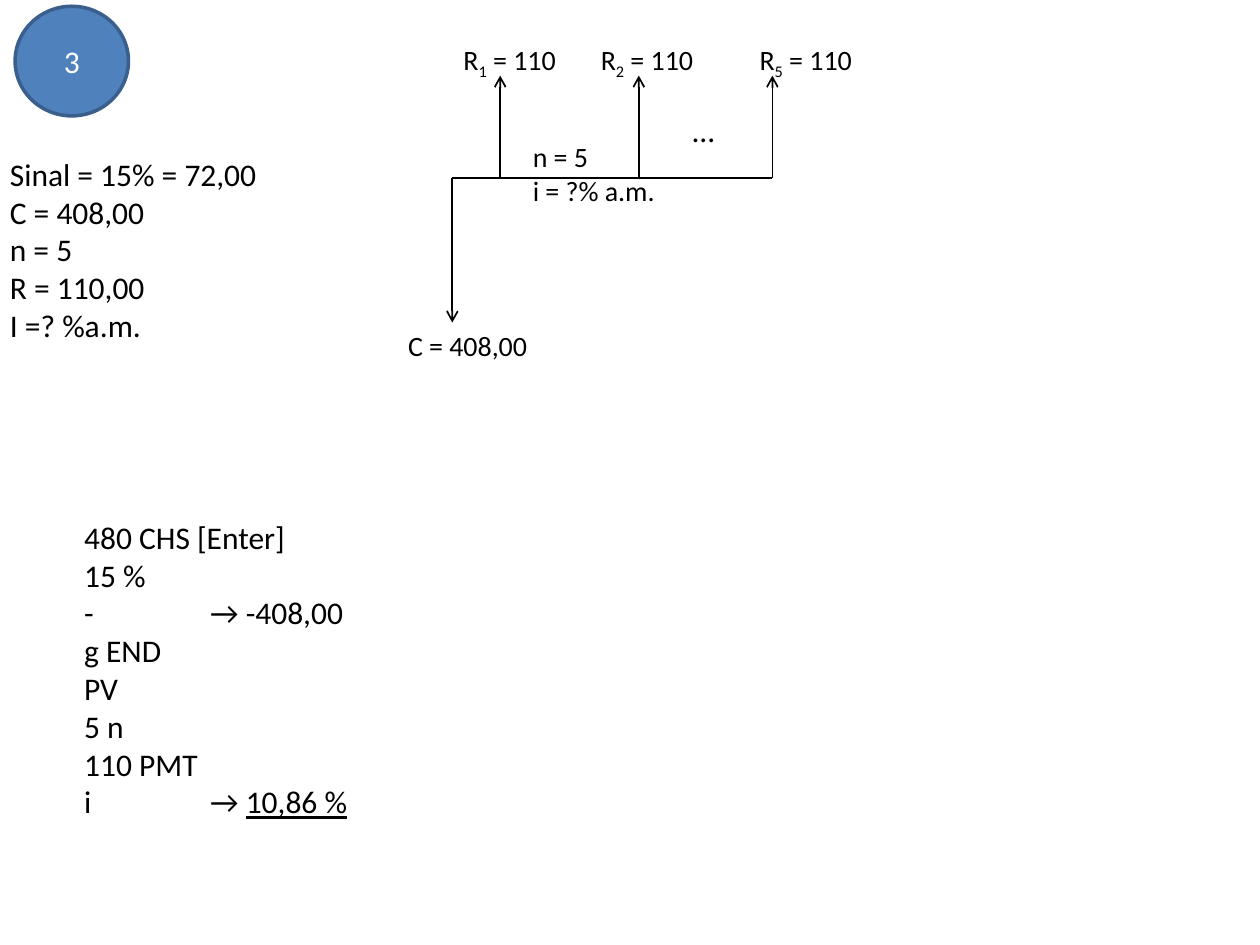
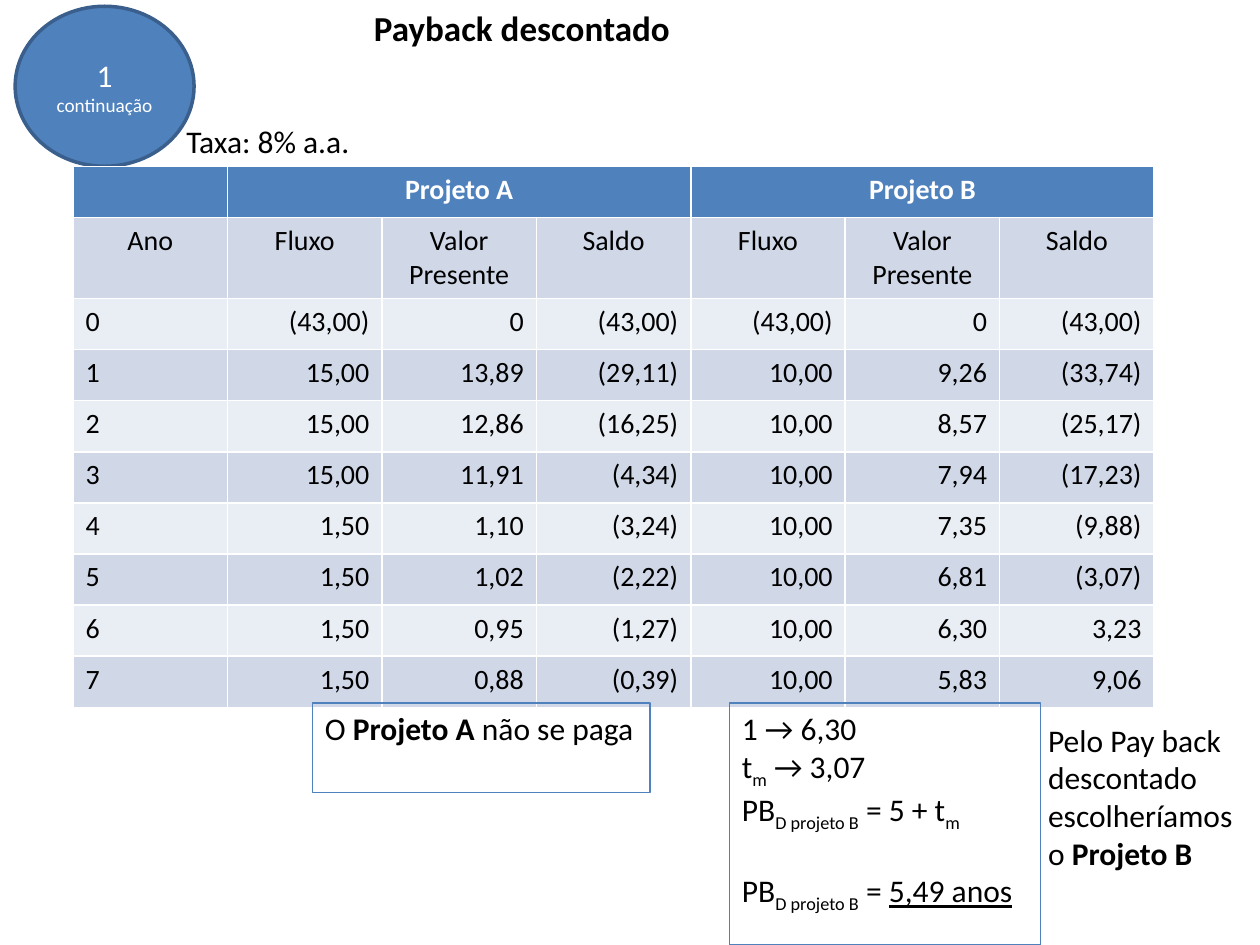
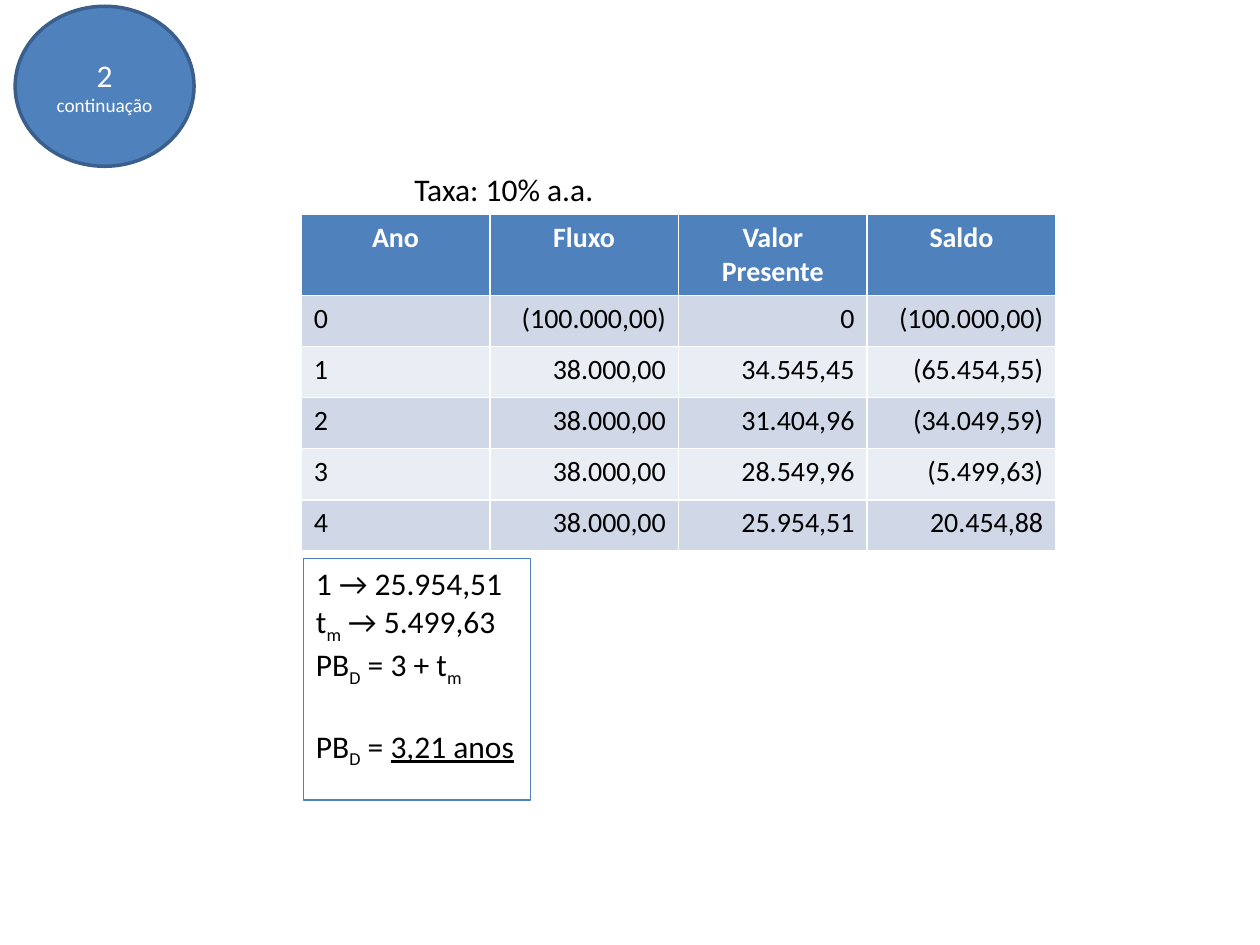
import pptx
import pptx.dml.color
import pptx.enum.shapes
import pptx.enum.text
import pptx.oxml.ns
import pptx.util
from lxml import etree

Inches = pptx.util.Inches
Pt = pptx.util.Pt
RGBColor = pptx.dml.color.RGBColor
ALIGN = pptx.enum.text.PP_ALIGN
SHAPE = pptx.enum.shapes.MSO_SHAPE

BLUE = RGBColor(0x4F, 0x81, 0xBD)
DARK_BLUE = RGBColor(0x3A, 0x5F, 0x8C)
LIGHT_BAND = RGBColor(0xE9, 0xED, 0xF4)
DARK_BAND = RGBColor(0xD0, 0xD8, 0xE8)
BLACK = RGBColor(0, 0, 0)
WHITE = RGBColor(0xFF, 0xFF, 0xFF)
FONT = "Calibri"

KNOWN_VALUES = ["Sinal = 15% = 72,00", "C = 408,00", "n = 5", "R = 110,00", "I =? %a.m."]
CALCULATOR_KEYS = [
    "480 CHS [Enter]", "15 %", "-\t\t→ -408,00", "g END", "PV", "5 n", "110 PMT",
    ["i\t\t→ ", ("10,86 %", "underline")],
]
AXIS_LEFT, AXIS_RIGHT, AXIS_TOP = 3.59, 6.13, 1.41
RECEIPT_TOP, CAPITAL_BOTTOM = 0.6, 2.56
RECEIPTS = [("1", 3.97, 3.58), ("2", 5.07, 4.67), ("5", 6.13, 5.93)]

COLUMNS = ["Fluxo", "Valor Presente", "Saldo"]
PROJECTS_TABLE = [
    ["", "Projeto A", "", "", "Projeto B", "", ""],
    ["Ano"] + COLUMNS * 2,
    ["0", "(43,00)", "0", "(43,00)", "(43,00)", "0", "(43,00)"],
    ["1", "15,00", "13,89", "(29,11)", "10,00", "9,26", "(33,74)"],
    ["2", "15,00", "12,86", "(16,25)", "10,00", "8,57", "(25,17)"],
    ["3", "15,00", "11,91", "(4,34)", "10,00", "7,94", "(17,23)"],
    ["4", "1,50", "1,10", "(3,24)", "10,00", "7,35", "(9,88)"],
    ["5", "1,50", "1,02", "(2,22)", "10,00", "6,81", "(3,07)"],
    ["6", "1,50", "0,95", "(1,27)", "10,00", "6,30", "3,23"],
    ["7", "1,50", "0,88", "(0,39)", "10,00", "5,83", "9,06"],
]
SINGLE_TABLE = [
    ["Ano"] + COLUMNS,
    ["0", "(100.000,00)", "0", "(100.000,00)"],
    ["1", "38.000,00", "34.545,45", "(65.454,55)"],
    ["2", "38.000,00", "31.404,96", "(34.049,59)"],
    ["3", "38.000,00", "28.549,96", "(5.499,63)"],
    ["4", "38.000,00", "25.954,51", "20.454,88"],
]
PROJECT_A_VERDICT = [["O ", ("Projeto A ", "bold"), "não se paga"]]
CHOICE = [["Pelo Pay back descontado escolheríamos o ", ("Projeto B", "bold")]]
TALL_ROW = 0.63


def write(paragraph, content, size=18, color=BLACK, bold=False, align=ALIGN.LEFT):
    paragraph.alignment = align
    font = paragraph.font
    font.name, font.size, font.bold = FONT, Pt(size), bold
    font.color.rgb = color
    for part in [content] if isinstance(content, str) else content:
        text, style = (part, None) if isinstance(part, str) else part
        run = paragraph.add_run()
        run.text = text
        if style == "bold":
            run.font.bold = True
        elif style == "underline":
            run.font.underline = True
        elif style == "sub":
            run.font._element.set("baseline", "-25000")


def write_lines(frame, lines, **style):
    for index, line in enumerate(lines):
        paragraph = frame.add_paragraph() if index else frame.paragraphs[0]
        write(paragraph, line, **style)


def add_text(slide, box, lines, wrap=False, **style):
    frame = slide.shapes.add_textbox(*map(Inches, box)).text_frame
    frame.word_wrap = wrap
    write_lines(frame, lines, **style)


def add_plain_shape(slide, kind, box, line_color, line_width):
    shape = slide.shapes.add_shape(kind, *map(Inches, box))
    shape.shadow.inherit = False
    shape.line.color.rgb = line_color
    shape.line.width = Pt(line_width)
    return shape


def add_badge(slide, number, width, height, note=None):
    badge = add_plain_shape(slide, SHAPE.OVAL, (0.12, 0.05, width, height), DARK_BLUE, 2)
    badge.fill.solid()
    badge.fill.fore_color.rgb = BLUE
    frame = badge.text_frame
    write(frame.paragraphs[0], number, color=WHITE, align=ALIGN.CENTER)
    if note:
        write(frame.add_paragraph(), note, size=11, color=WHITE, align=ALIGN.CENTER)


def add_frame(slide, box, lines):
    outline = add_plain_shape(slide, SHAPE.RECTANGLE, box, BLUE, 0.75)
    outline.fill.background()
    frame = outline.text_frame
    frame.word_wrap = False
    frame.vertical_anchor = pptx.enum.text.MSO_ANCHOR.TOP
    write_lines(frame, lines)
    return frame


def add_payback(slide, box, whole, remainder, project, years, result):
    label = ["PB", ("D" + project, "sub")]
    minor = ["t", ("m", "sub")]
    frame = add_frame(slide, box, [
        "1 → " + whole,
        minor + [" → " + remainder],
        label + [f" = {years} + "] + minor,
        label + [" = ", (result, "underline")],
    ])
    frame.paragraphs[-1].space_before = Pt(22)


def add_line(slide, start, end, arrow=True):
    line = slide.shapes.add_connector(
        pptx.enum.shapes.MSO_CONNECTOR.STRAIGHT, *map(Inches, start + end))
    line.line.color.rgb = BLACK
    line.line.width = Pt(1)
    if arrow:
        etree.SubElement(line.line._get_or_add_ln(), pptx.oxml.ns.qn("a:tailEnd"), type="arrow")
    etree.SubElement(line._element.spPr, pptx.oxml.ns.qn("a:effectLst"))


def add_cash_table(slide, box, rows, heading_rows):
    height = box[3]
    row_height = (height - TALL_ROW) / (len(rows) - 1)
    table = slide.shapes.add_table(len(rows), len(rows[0]), *map(Inches, box)).table
    for r, values in enumerate(rows):
        table.rows[r].height = Inches(TALL_ROW if r == heading_rows - 1 else row_height)
        for c, value in enumerate(values):
            cell = table.cell(r, c)
            cell.fill.solid()
            cell.fill.fore_color.rgb = BLUE if r == 0 else DARK_BAND if r % 2 else LIGHT_BAND
            align = ALIGN.CENTER if r < heading_rows else ALIGN.RIGHT if c else ALIGN.LEFT
            write(cell.text_frame.paragraphs[0], value or [], size=16,
                  color=BLACK if r else WHITE, bold=r == 0, align=align)
    return table


def build_rate_slide(slide):
    add_badge(slide, "3", 0.9, 0.87)
    add_line(slide, (AXIS_LEFT, AXIS_TOP), (AXIS_LEFT, CAPITAL_BOTTOM))
    add_line(slide, (AXIS_LEFT, AXIS_TOP), (AXIS_RIGHT, AXIS_TOP), arrow=False)
    for index, arrow_left, label_left in RECEIPTS:
        add_line(slide, (arrow_left, AXIS_TOP), (arrow_left, RECEIPT_TOP))
        add_text(slide, (label_left, 0.29, 0.96, 0.37),
                 [["R", (index, "sub"), " = 110"]], size=16)
    add_text(slide, (3.14, CAPITAL_BOTTOM, 1.16, 0.37), ["C = 408,00"], size=16)
    add_text(slide, (4.13, 1.06, 1.18, 0.64), ["n = 5", "i = ?% a.m."], size=16)
    add_text(slide, (5.39, 0.83, 0.39, 0.4), ["..."])
    add_text(slide, (-0.02, 1.18, 2.18, 1.62), KNOWN_VALUES)
    add_text(slide, (0.57, 4.06, 3.34, 2.52), CALCULATOR_KEYS)


def build_projects_slide(slide):
    add_badge(slide, "1", 1.42, 1.27, "continuação")
    table = add_cash_table(slide, (0.58, 1.32, 8.58, 4.28), PROJECTS_TABLE, 2)
    for first in (1, 4):
        table.cell(0, first).merge(table.cell(0, first + 2))
    add_text(slide, (2.87, 0, 2.57, 0.44), ["Payback descontado"], size=20, bold=True)
    add_text(slide, (1.38, 0.92, 1.51, 0.4), ["Taxa: 8% a.a."])
    add_frame(slide, (2.48, 5.58, 2.68, 0.71), PROJECT_A_VERDICT)
    add_payback(slide, (5.79, 5.58, 2.47, 1.92), "6,30", "3,07", " projeto B", 5, "5,49 anos")
    add_text(slide, (8.22, 5.67, 1.7, 1.31), CHOICE, wrap=True)


def build_single_slide(slide):
    add_cash_table(slide, (2.39, 1.7, 5.99, 2.66), SINGLE_TABLE, 1)
    add_text(slide, (3.19, 1.3, 1.64, 0.4), ["Taxa: 10% a.a."])
    add_payback(slide, (2.41, 4.43, 1.8, 1.92), "25.954,51", "5.499,63", "", 3, "3,21 anos")
    add_badge(slide, "2", 1.42, 1.27, "continuação")


def main():
    deck = pptx.Presentation()
    deck.slide_width, deck.slide_height = Inches(10), Inches(7.5)
    for build in (build_rate_slide, build_projects_slide, build_single_slide):
        build(deck.slides.add_slide(deck.slide_layouts[6]))
    deck.save("out.pptx")


if __name__ == "__main__":
    main()
